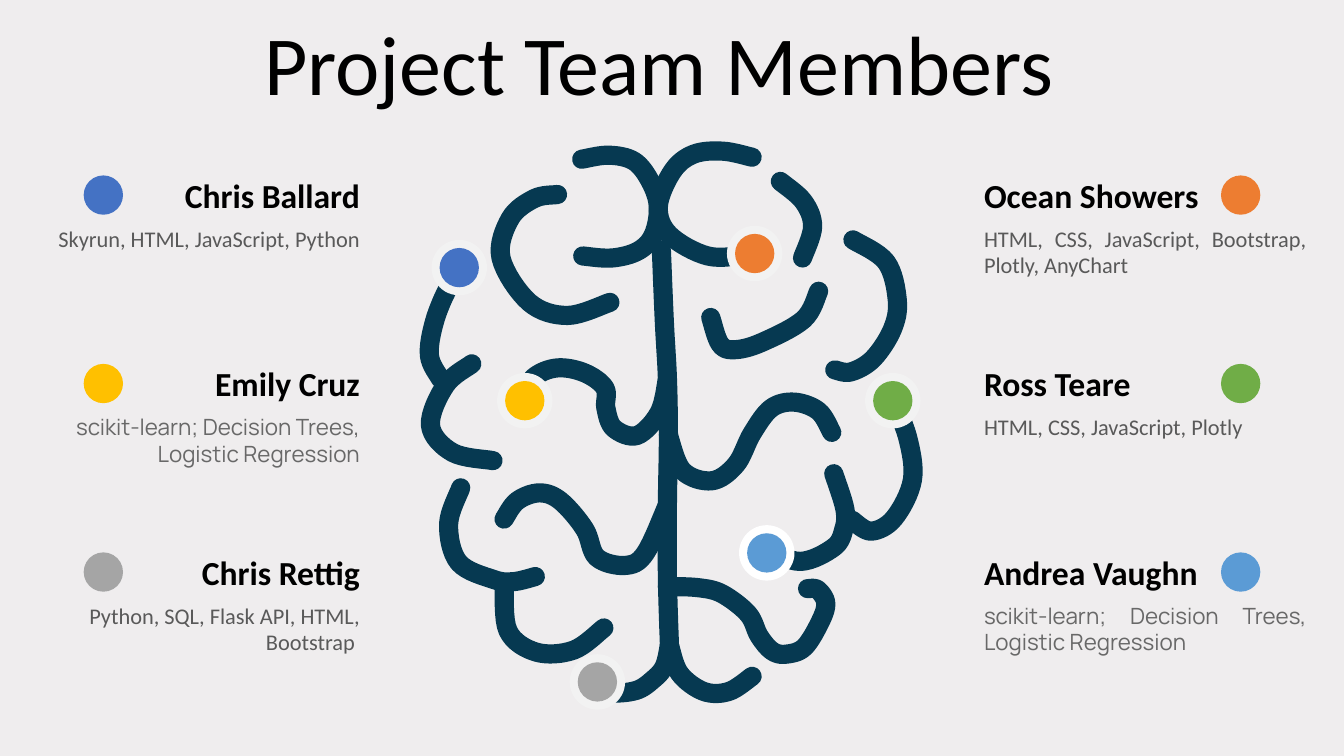
from collections import namedtuple

from lxml import etree
from pptx import Presentation
from pptx.dml.color import RGBColor
from pptx.enum.shapes import MSO_SHAPE as Preset
from pptx.enum.text import MSO_ANCHOR as Anchor, MSO_AUTO_SIZE as AutoSize, PP_ALIGN as Align
from pptx.oxml.ns import qn
from pptx.util import Pt

PX = 9144

BACKDROP = RGBColor(0xEF, 0xED, 0xEE)
NAVY = RGBColor(0x06, 0x39, 0x51)
BLACK = RGBColor(0x00, 0x00, 0x00)
WHITE = RGBColor(0xFF, 0xFF, 0xFF)
PALE = RGBColor(0xF2, 0xF2, 0xF2)
DARK_GREY = RGBColor(0x59, 0x59, 0x59)
MID_GREY = RGBColor(0x68, 0x68, 0x68)
BLUE = RGBColor(0x44, 0x72, 0xC4)
ORANGE = RGBColor(0xED, 0x7D, 0x31)
YELLOW = RGBColor(0xFF, 0xC0, 0x00)
GREEN = RGBColor(0x70, 0xAD, 0x47)
GREY = RGBColor(0xA5, 0xA5, 0xA5)
SKY = RGBColor(0x5B, 0x9B, 0xD5)

DOT = 39
HALO = 55
FOLD_WIDTH = 19
CURVE_STEPS = 8
TITLE_BOX = (51, 18, 1205, 81)
BRAIN_CORNER = (417, 140)
CARD_SIZE = (320, 114)
CARD_TOP, CARD_PITCH = 168, 187
CARD_LEFTS = {"left": 37, "right": 976}

Member = namedtuple("Member", "name skills font ink side row color halo spot")
MEMBERS = [
    Member("Ocean Showers", "HTML, CSS, JavaScript, Bootstrap, Plotly, AnyChart",
           "Calibri", DARK_GREY, "right", 0, ORANGE, PALE, (304, 84)),
    Member("Emily Cruz", "scikit-learn; Decision Trees, Logistic Regression",
           "Manrope", MID_GREY, "left", 1, YELLOW, PALE, (76, 230)),
    Member("Ross Teare", "HTML, CSS, JavaScript, Plotly",
           "Calibri", DARK_GREY, "right", 1, GREEN, PALE, (441, 230)),
    Member("Chris Rettig", "Python, SQL, Flask API, HTML, Bootstrap ",
           "Calibri", DARK_GREY, "left", 2, GREY, PALE, (148, 509)),
    Member("Andrea Vaughn", "scikit-learn; Decision Trees, Logistic Regression",
           "Manrope", MID_GREY, "right", 2, SKY, WHITE, (316, 381)),
    Member("Chris Ballard", "Skyrun, HTML, JavaScript, Python",
           "Calibri", DARK_GREY, "left", 0, BLUE, PALE, (11, 98)),
]

STEM = [(239, 108), (242, 180), (245, 235), (246, 292), (245, 360), (245, 433), (247, 500)]
TOP_FOLDS = [
    [(160, 18), (187, 14), (212, 20), (228, 40), (236, 65), (231, 93), (216, 109),
     (190, 116), (161, 114)],
    [(329, 16), (300, 10), (271, 13), (250, 30), (236, 65), (247, 93), (285, 114), (324, 113)],
    [(136, 53), (113, 57), (89, 77), (80, 116), (108, 160), (146, 173), (188, 160)],
    [(357, 40), (380, 60), (389, 85), (379, 116)],
    [(429, 98), (462, 120), (473, 158), (468, 187), (449, 216), (427, 229), (411, 227)],
    [(395, 149), (380, 177), (338, 200), (311, 207), (297, 201), (288, 175)],
]
MIDDLE_FOLDS = [
    [(46, 119), (28, 145), (14, 179), (9, 213), (20, 236)],
    [(51, 221), (25, 242), (10, 282), (32, 309), (72, 317)],
    [(245, 236), (237, 269), (215, 292), (192, 285), (184, 265), (183, 245), (163, 230),
     (136, 225), (113, 234), (102, 253)],
    [(246, 292), (260, 327), (289, 337), (313, 321), (329, 290), (348, 265), (371, 259),
     (395, 268), (408, 289)],
    [(467, 254), (483, 293), (488, 336), (470, 374), (447, 387), (428, 376)],
]
BOTTOM_FOLDS = [
    [(40, 344), (28, 380), (38, 418), (73, 435), (93, 437), (114, 432)],
    [(83, 440), (87, 486), (115, 507), (152, 505), (182, 483)],
    [(245, 361), (223, 409), (203, 421), (175, 413), (163, 385), (139, 357), (118, 349),
     (96, 357), (83, 375)],
    [(410, 330), (421, 365), (420, 385), (410, 403), (377, 417), (341, 405)],
    [(245, 442), (275, 443), (299, 449), (325, 469), (336, 491), (349, 506), (363, 509),
     (381, 502), (397, 476), (402, 458), (394, 445), (384, 444)],
    [(247, 500), (257, 528), (281, 546), (306, 546), (329, 531)],
    [(247, 500), (242, 521), (231, 534), (214, 545), (188, 547), (172, 537)],
]


def smooth_curve(points):
    """Return a dense Catmull-Rom curve through the points."""
    padded = [points[0], *points, points[-1]]
    curve = [points[0]]
    for before, start, end, after in zip(padded, padded[1:], padded[2:], padded[3:]):
        for step in range(1, CURVE_STEPS + 1):
            t = step / CURVE_STEPS
            curve.append(tuple(
                (2 * b + (c - a) * t + (2 * a - 5 * b + 4 * c - d) * t ** 2
                 + (3 * b - a - 3 * c + d) * t ** 3) / 2
                for a, b, c, d in zip(before, start, end, after)))
    return curve


def draw_brain(slide, left, top):
    """Draw all folds as one round-ended thick outline."""
    folds = [[(round((left + x) * PX), round((top + y) * PX)) for x, y in smooth_curve(fold)]
             for fold in [STEM, *TOP_FOLDS, *MIDDLE_FOLDS, *BOTTOM_FOLDS]]
    builder = slide.shapes.build_freeform(*folds[0][0], scale=1.0)
    for fold in folds:
        builder.move_to(*fold[0])
        builder.add_line_segments(fold[1:], close=False)
    brain = builder.convert_to_shape()
    brain.shadow.inherit = False
    brain.fill.background()
    brain.line.color.rgb = NAVY
    brain.line.width = FOLD_WIDTH * PX
    outline = brain.line._get_or_add_ln()
    outline.set("cap", "rnd")
    etree.SubElement(outline, qn("a:round"))


def add_disc(slide, left, top, size, color):
    """Add a plain filled circle."""
    disc = slide.shapes.add_shape(Preset.OVAL, left * PX, top * PX, size * PX, size * PX)
    disc.shadow.inherit = False
    disc.fill.solid()
    disc.fill.fore_color.rgb = color
    disc.line.fill.background()


def draw_marker(slide, member, left, top):
    """Place a member's haloed dot on the brain."""
    inset = (HALO - DOT) // 2
    x, y = left + member.spot[0], top + member.spot[1]
    add_disc(slide, x, y, HALO, member.halo)
    add_disc(slide, x + inset, y + inset, DOT, member.color)


def add_text(slide, box, text, size, font, color, align, bold=False):
    """Add a one-run text box and return its frame and paragraph."""
    frame = slide.shapes.add_textbox(*(length * PX for length in box)).text_frame
    frame.word_wrap = True
    paragraph = frame.paragraphs[0]
    paragraph.alignment = align
    run = paragraph.add_run()
    run.text = text
    run.font.size = Pt(size)
    run.font.name = font
    run.font.bold = bold
    run.font.color.rgb = color
    return frame, paragraph


def draw_card(slide, member, left, top, width, height):
    """Place a member's name, skills and colour dot in the box."""
    on_left = member.side == "left"
    name_height, dot_inset = 50, 46
    name_frame, _ = add_text(slide, (left, top, width, name_height), member.name, 24, "Calibri",
                             BLACK, Align.RIGHT if on_left else Align.LEFT, bold=True)
    name_frame.vertical_anchor = Anchor.BOTTOM
    skills_box = (left, top + name_height, width, height - name_height)
    skills_frame, _ = add_text(slide, skills_box, member.skills, 16, member.font, member.ink,
                               Align.RIGHT if on_left else Align.JUSTIFY)
    for frame in (name_frame, skills_frame):
        frame.margin_left = frame.margin_right = 0
        frame.auto_size = AutoSize.SHAPE_TO_FIT_TEXT
    dot_left = left + (dot_inset if on_left else width - dot_inset - DOT)
    add_disc(slide, dot_left, top + 6, DOT, member.color)


def draw_title(slide, box):
    """Place the centred slide title."""
    _, heading = add_text(slide, box, "Project Team Members", 60, "Calibri", BLACK, Align.CENTER)
    heading.line_spacing = 0.9


def main():
    """Build and save the team slide."""
    deck = Presentation()
    deck.slide_width, deck.slide_height = 1333 * PX, 750 * PX
    slide = deck.slides.add_slide(deck.slide_layouts[6])
    slide.background.fill.solid()
    slide.background.fill.fore_color.rgb = BACKDROP
    draw_brain(slide, *BRAIN_CORNER)
    for member in MEMBERS:
        draw_marker(slide, member, *BRAIN_CORNER)
    for member in MEMBERS:
        card_top = CARD_TOP + member.row * CARD_PITCH
        draw_card(slide, member, CARD_LEFTS[member.side], card_top, *CARD_SIZE)
    draw_title(slide, TITLE_BOX)
    deck.save("out.pptx")


if __name__ == "__main__":
    main()
